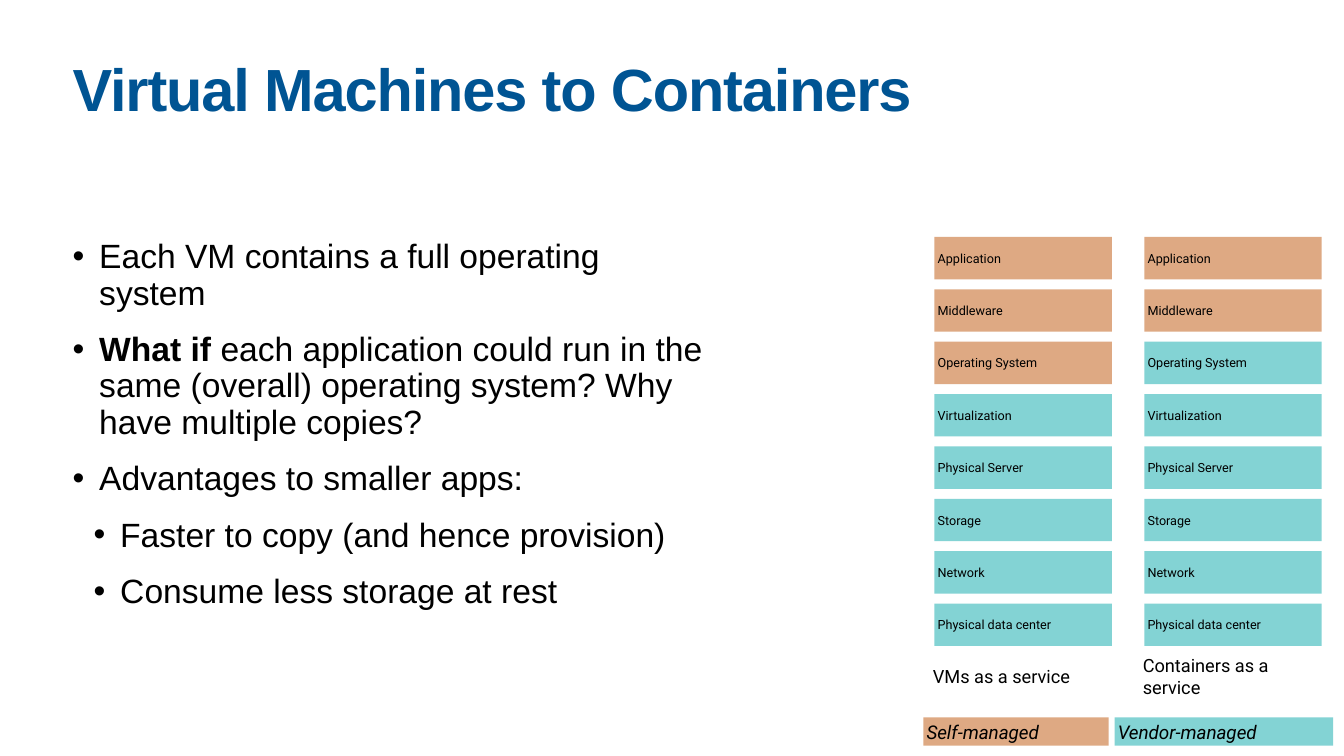
import pptx
import pptx.dml.color
import pptx.enum.shapes
import pptx.enum.text
import pptx.oxml.ns
import pptx.util
from lxml import etree

Cm = pptx.util.Cm
Pt = pptx.util.Pt
RGBColor = pptx.dml.color.RGBColor
Anchor = pptx.enum.text.MSO_ANCHOR
Align = pptx.enum.text.PP_ALIGN

TITLE_BLUE = RGBColor(0x00, 0x54, 0x93)
BLACK = RGBColor(0x00, 0x00, 0x00)
SELF_MANAGED = RGBColor(0xDE, 0xA9, 0x83)
VENDOR_MANAGED = RGBColor(0x83, 0xD3, 0xD4)

LAYERS = ["Application", "Middleware", "Operating System", "Virtualization",
          "Physical Server", "Storage", "Network", "Physical data center"]

# Each bullet: level, then its runs as (text, bold)
BULLETS = [
    (0, [("Each VM contains a full operating system", False)]),
    (0, [("What if ", True),
         ("each application could run in the same (overall) operating system? "
          "Why have multiple copies?", False)]),
    (0, [("Advantages to smaller apps:", False)]),
    (1, [("Faster to copy (and hence provision)", False)]),
    (1, [("Consume less storage at rest", False)]),
]


def write_text(paragraph, text, size, font="Roboto", color=BLACK,
               bold=False, italic=False, spacing=None):
    """Add one formatted run; spacing is in points."""
    run = paragraph.add_run()
    run.text = text
    run.font.name = font
    run.font.size = Pt(size)
    run.font.bold = bold
    run.font.italic = italic
    run.font.color.rgb = color
    if spacing is not None:
        run.font._element.set("spc", str(round(spacing * 100)))


def place(shape, left, top, width, height):
    shape.left, shape.top = Cm(left), Cm(top)
    shape.width, shape.height = Cm(width), Cm(height)


def set_frame(frame, inset, anchor):
    frame.word_wrap = True
    frame.auto_size = pptx.enum.text.MSO_AUTO_SIZE.NONE
    frame.vertical_anchor = anchor
    frame.margin_left = frame.margin_right = Cm(inset)
    frame.margin_top = frame.margin_bottom = Cm(inset)


def add_bullet_mark(paragraph, indent, hanging):
    properties = paragraph._p.get_or_add_pPr()
    properties.set("marL", str(Cm(indent)))
    properties.set("indent", str(-Cm(hanging)))
    mark = etree.SubElement(properties, pptx.oxml.ns.qn("a:buChar"))
    mark.set("char", "•")


def add_title(slide, left, top, width, height):
    title = slide.shapes.title
    place(title, left, top, width, height)
    set_frame(title.text_frame, 0.15, Anchor.TOP)
    heading = title.text_frame.paragraphs[0]
    heading.alignment = Align.LEFT
    heading.line_spacing = 0.8
    write_text(heading, "Virtual Machines to Containers", 42.5, font="Arial",
               color=TITLE_BLUE, bold=True, spacing=-0.8)


def add_bullets(slide, left, top, width, height):
    body = slide.placeholders[1]
    place(body, left, top, width, height)
    frame = body.text_frame
    set_frame(frame, 0.15, Anchor.TOP)
    for number, (level, runs) in enumerate(BULLETS):
        bullet = frame.add_paragraph() if number else frame.paragraphs[0]
        bullet.level = level
        bullet.alignment = Align.LEFT
        bullet.line_spacing = 0.9
        bullet.space_before = Pt(14.5 if number else 0)
        add_bullet_mark(bullet, 0.67 + 0.53 * level, 0.67)
        for text, bold in runs:
            write_text(bullet, text, 24, font="Arial", bold=bold)


def add_label_box(slide, text, left, top, width, height, fill, **text_format):
    box = slide.shapes.add_shape(pptx.enum.shapes.MSO_SHAPE.RECTANGLE,
                                 Cm(left), Cm(top), Cm(width), Cm(height))
    box.shadow.inherit = False
    box.line.fill.background()
    if fill is None:
        box.fill.background()
    else:
        box.fill.solid()
        box.fill.fore_color.rgb = fill
    set_frame(box.text_frame, 0.08, Anchor.MIDDLE)
    label = box.text_frame.paragraphs[0]
    label.alignment = Align.LEFT
    write_text(label, text, **text_format)


def add_stack(slide, left, top, width, caption, caption_height, self_managed):
    """Layers from top to bottom; the first self_managed ones are orange."""
    pitch = 1.32
    for row, layer in enumerate(LAYERS):
        fill = SELF_MANAGED if row < self_managed else VENDOR_MANAGED
        add_label_box(slide, layer, left, top + row * pitch, width, 1.07, fill,
                      size=9)
    caption_middle = top + len(LAYERS) * pitch + 0.52
    add_label_box(slide, caption, left - 0.12,
                  caption_middle - caption_height / 2, width + 0.2,
                  caption_height, None, size=13)


def add_legend(slide, left, top, height):
    self_width, gap, vendor_width = 4.67, 0.15, 5.51
    add_label_box(slide, "Self-managed", left, top, self_width, height,
                  SELF_MANAGED, size=13.5, italic=True)
    add_label_box(slide, "Vendor-managed", left + self_width + gap, top,
                  vendor_width, height, VENDOR_MANAGED, size=13.5, italic=True)


def main():
    presentation = pptx.Presentation()
    presentation.slide_width = Cm(33.87)
    presentation.slide_height = Cm(19.05)
    slide = presentation.slides.add_slide(presentation.slide_layouts[1])

    # Title and bullets
    add_title(slide, 1.68, 1.5, 30.5, 1.98)
    add_bullets(slide, 1.68, 5.89, 16.23, 11.84)

    # Service stacks with the legend below
    add_stack(slide, 23.55, 5.97, 4.47, "VMs as a service", 0.69, 3)
    add_stack(slide, 28.84, 5.97, 4.47, "Containers as a service", 1.24, 2)
    add_legend(slide, 23.27, 18.08, 0.71)

    presentation.save("out.pptx")


if __name__ == "__main__":
    main()
